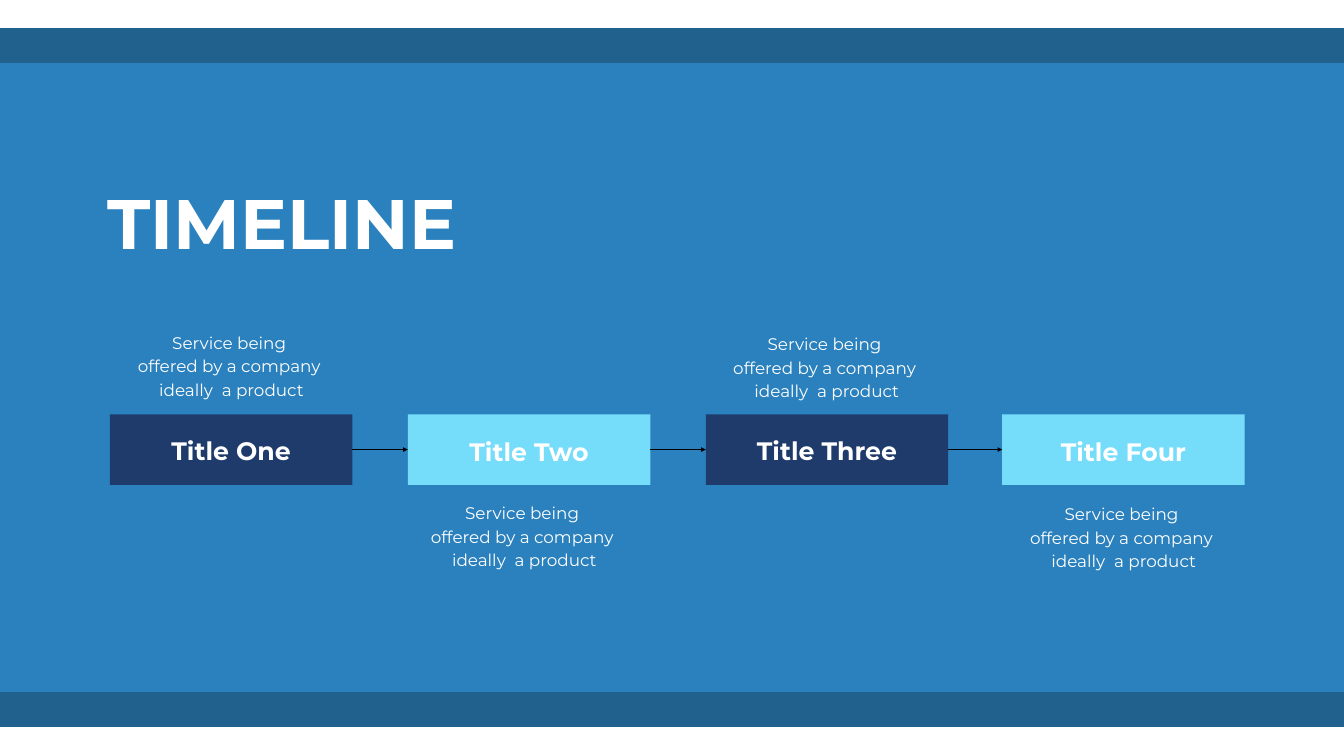
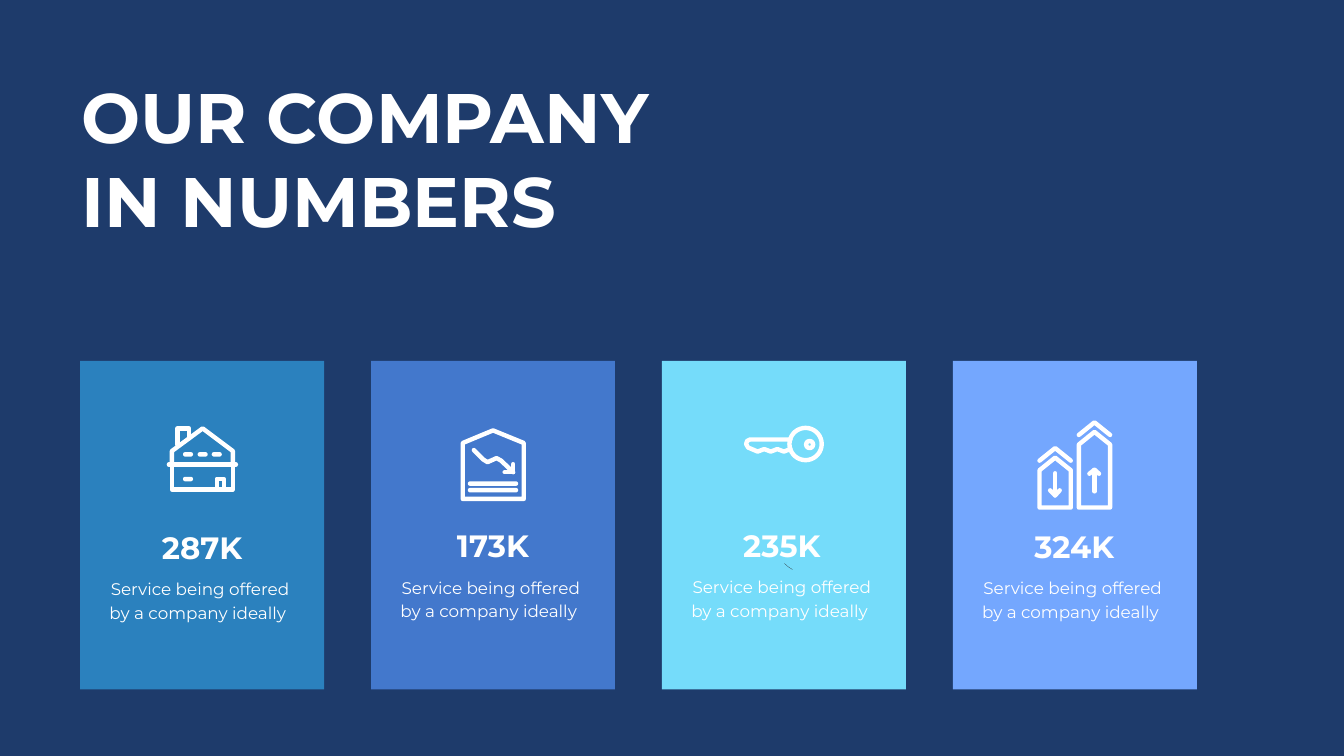
"""Build a timeline slide and a company-in-numbers slide."""
import math

import lxml.etree
import pptx
import pptx.dml.color
import pptx.enum.shapes
import pptx.enum.text
import pptx.oxml.ns
import pptx.util

Inches = pptx.util.Inches
Pt = pptx.util.Pt
rgb = pptx.dml.color.RGBColor.from_string
qn = pptx.oxml.ns.qn
SHAPE = pptx.enum.shapes.MSO_SHAPE
STRAIGHT = pptx.enum.shapes.MSO_CONNECTOR.STRAIGHT
ALIGN = pptx.enum.text.PP_ALIGN

THEME = {
    "font": "Montserrat", "title": 100, "value": 44, "label": 36, "body": 24,
    "white": "FFFFFF", "black": "000000", "fleck": "231F20", "navy": "1E3B6B",
    "blue": "2B81BE", "band": "20618E", "royal": "4378CC", "sky": "75DCFA",
    "periwinkle": "74A7FE", "band_line": 50, "arrow_line": 2.25, "icon_line": 6.3,
}


def write(sp, text, size, bold=False, align=ALIGN.CENTER, inset=(0.1, 0.05), before=0):
    tf = sp.text_frame
    tf.word_wrap = True
    tf.auto_size = pptx.enum.text.MSO_AUTO_SIZE.NONE
    tf.vertical_anchor = pptx.enum.text.MSO_ANCHOR.TOP
    tf.margin_left = tf.margin_right = Inches(inset[0])
    tf.margin_top = tf.margin_bottom = Inches(inset[1])
    tf.text = text
    for i, p in enumerate(tf.paragraphs):
        p.alignment = align
        p.space_before = Pt(before if i else 0)
        p.font.name = THEME["font"]
        p.font.size = Pt(THEME[size])
        p.font.bold = bold
        p.font.color.rgb = rgb(THEME["white"])


def stroke(sp, color, width, arrow=False):
    sp.line.color.rgb = rgb(THEME[color])
    sp.line.width = Pt(width)
    spPr = sp.element.spPr
    ln = spPr.find(qn("a:ln"))
    if arrow:
        lxml.etree.SubElement(ln, qn("a:tailEnd"), type="triangle")
    else:
        ln.set("cap", "rnd")
        lxml.etree.SubElement(ln, qn("a:round"))
    lxml.etree.SubElement(spPr, qn("a:effectLst"))


prs = pptx.Presentation()
prs.slide_width, prs.slide_height = Inches(26.66), Inches(15)

BOX_W, CARD_W = 4.81, 4.84
box_lefts = [2.18, 8.09, 14, 19.88]
card_lefts = [1.59 + i * 5.77 for i in range(4)]

pages = [
    ("TIMELINE", (1.97, 3.51, 7.23, 1.78), ALIGN.CENTER,
     (-0.67, 0.91, 28, 13.17), "blue", True,
     box_lefts, (8.22, BOX_W, 1.4), ["navy", "sky", "navy", "sky"]),
    ("OUR COMPANY\nIN NUMBERS", (1.51, 1.4, 12.11, 3.47), ALIGN.LEFT,
     (0, 0, 26.66, 15), "navy", False,
     card_lefts, (7.16, CARD_W, 6.52), ["blue", "royal", "sky", "periwinkle"]),
]
slides, tiles = [], []
for title, title_box, align, panel_box, panel_fill, banded, lefts, tile, fills in pages:
    s = prs.slides.add_slide(prs.slide_layouts[5])
    rects = [(panel_box, panel_fill)]
    rects += [((left, *tile), fill) for left, fill in zip(lefts, fills)]
    row = []
    for box, fill in rects:
        sp = s.shapes.add_shape(SHAPE.RECTANGLE, *map(Inches, box))
        sp.shadow.inherit = False
        sp.fill.solid()
        sp.fill.fore_color.rgb = rgb(THEME[fill])
        sp.line.fill.background()
        row.append(sp)
    panel = row[0]
    if banded:
        panel.line.color.rgb = rgb(THEME["band"])
        panel.line.width = Pt(THEME["band_line"])
    sp = s.shapes.title
    sp.left, sp.top, sp.width, sp.height = map(Inches, title_box)
    write(sp, title, "title", True, align)
    panel.element.addnext(sp.element)
    slides.append(s)
    tiles.append(row[1:])

s, boxes = slides[0], tiles[0]
for start, end in zip(boxes, boxes[1:]):
    arrow = s.shapes.add_connector(STRAIGHT, 0, 0, 0, 0)
    arrow.begin_connect(start, 3)
    arrow.end_connect(end, 1)
    stroke(arrow, "black", THEME["arrow_line"], arrow=True)

service = "Service being \noffered by a company \nideally  a product"
steps = [
    ("Title One", 8.59, 2.36, 6.48),
    ("Title Two", 8.61, 8.17, 9.86),
    ("Title Three", 8.59, 14.17, 6.51),
    ("Title Four", 8.61, 20.06, 9.88),
]
for left, (label, label_top, text_left, text_top) in zip(box_lefts, steps):
    label_left = left + (BOX_W - 3.1) / 2
    sp = s.shapes.add_textbox(Inches(label_left), Inches(label_top), Inches(3.1), Inches(0.71))
    write(sp, label, "label", True)
    sp = s.shapes.add_textbox(Inches(text_left), Inches(text_top), Inches(4.46), Inches(1.61))
    write(sp, service, "body", inset=(0.24, 0.12), before=4.8)

s = slides[1]
house = [[
    [(3.52, 8.82), (3.52, 8.5), (3.75, 8.5), (3.75, 8.7)],
    [(3.41, 9.22), (3.41, 8.95), (4.02, 8.5), (4.62, 8.95), (4.62, 9.22)],
    [(3.35, 9.22), (4.68, 9.22)],
    [(3.41, 9.22), (3.41, 9.71), (4.62, 9.71), (4.62, 9.22)],
    [(4.3, 9.71), (4.3, 9.5), (4.44, 9.5), (4.44, 9.71)],
]]
house_dashes = [(3.63, 9.46, 0.2), (3.63, 8.97, 0.2), (3.92, 8.97, 0.2), (4.2, 8.97, 0.2)]
falling_trend = [
    [
        [(9.4, 8.93), (9.59, 9.12), (9.67, 9.17), (9.76, 9.13), (9.85, 9.09), (9.94, 9.14), (10.18, 9.37)],
        [(10.01, 9.37), (10.18, 9.37), (10.18, 9.21)],
    ],
    [[(9.18, 9.9), (9.18, 8.79), (9.78, 8.54), (10.39, 8.79), (10.39, 9.9), (9.18, 9.9)]],
]
trend_bars = [(9.28, 9.55, 1), (9.28, 9.68, 1)]
ring = [(15.98 + 0.32 * math.cos(math.radians(a)), 8.81 + 0.32 * math.sin(math.radians(a)))
        for a in range(0, 360, 10)]
key = [[
    [(15.68, 8.72), (14.88, 8.72), (14.82, 8.75), (14.8, 8.81), (14.84, 8.88), (15.03, 8.96),
     (15.16, 8.91), (15.29, 8.96), (15.42, 8.91), (15.55, 8.96), (15.68, 8.91)],
    ring + ring[:1],
]]
towers = [
    [[(20.93, 9.39), (20.93, 9.83)], [(20.83, 9.73), (20.93, 9.83), (21.02, 9.73)]],
    [[(21.71, 9.75), (21.71, 9.32)], [(21.61, 9.4), (21.71, 9.32), (21.8, 9.4)]],
]
for x, y in [(20.62, 9.33), (21.4, 8.82)]:
    peak, right = (x + 0.31, y - 0.25), x + 0.62
    towers.append([[(x, y), peak, (right, y), (right, 10.07), (x, 10.07), (x, y)]])
    towers.append([[(x, y - 0.19), (peak[0], peak[1] - 0.19), (right, y - 0.19)]])

fleck = [[[(15.56, 11.18), (15.64, 11.25), (15.72, 11.3)]]]
icons = [
    (fleck, [], "fleck", 0.25),
    (house, house_dashes, "white", THEME["icon_line"]),
    (falling_trend, trend_bars, "white", THEME["icon_line"]),
    (towers, [], "white", THEME["icon_line"]),
    (key, [], "white", THEME["icon_line"]),
]
for outlines, pills, color, width in icons:
    group = s.shapes.add_group_shape()
    for outline in outlines:
        contours = [[(Inches(x), Inches(y)) for x, y in contour] for contour in outline]
        builder = group.shapes.build_freeform(*contours[0][0])
        for i, points in enumerate(contours):
            if i:
                builder.move_to(*points[0])
            builder.add_line_segments(points[1:], close=points[0] == points[-1])
        sp = builder.convert_to_shape()
        sp.fill.background()
        stroke(sp, color, width)
    for x, y, w in pills:
        sp = group.shapes.add_shape(SHAPE.ROUNDED_RECTANGLE, Inches(x), Inches(y), Inches(w), Inches(0.09))
        sp.adjustments[0] = 0.5
        sp.shadow.inherit = False
        sp.fill.solid()
        sp.fill.fore_color.rgb = rgb(THEME[color])
        sp.line.fill.background()
sp = group.shapes.add_shape(SHAPE.OVAL, Inches(15.99), Inches(8.75), Inches(0.14), Inches(0.14))
sp.fill.background()
stroke(sp, "white", THEME["icon_line"])

figures = [
    ("287K", 2.51, 10.45, 11.37),
    ("173K", 8.28, 10.41, 11.34),
    ("235K", 14.01, 10.41, 11.33),
    ("324K", 19.81, 10.42, 11.35),
]
for left, (value, value_left, value_top, text_top) in zip(card_lefts, figures):
    sp = s.shapes.add_textbox(Inches(value_left), Inches(value_top), Inches(3), Inches(0.84))
    write(sp, value, "value", True)
    sp = s.shapes.add_textbox(Inches(left + 0.3), Inches(text_top), Inches(4.24), Inches(1.13))
    write(sp, "Service being offered \nby a company ideally  ", "body", inset=(0.24, 0.12), before=4.8)

prs.save("out.pptx")
